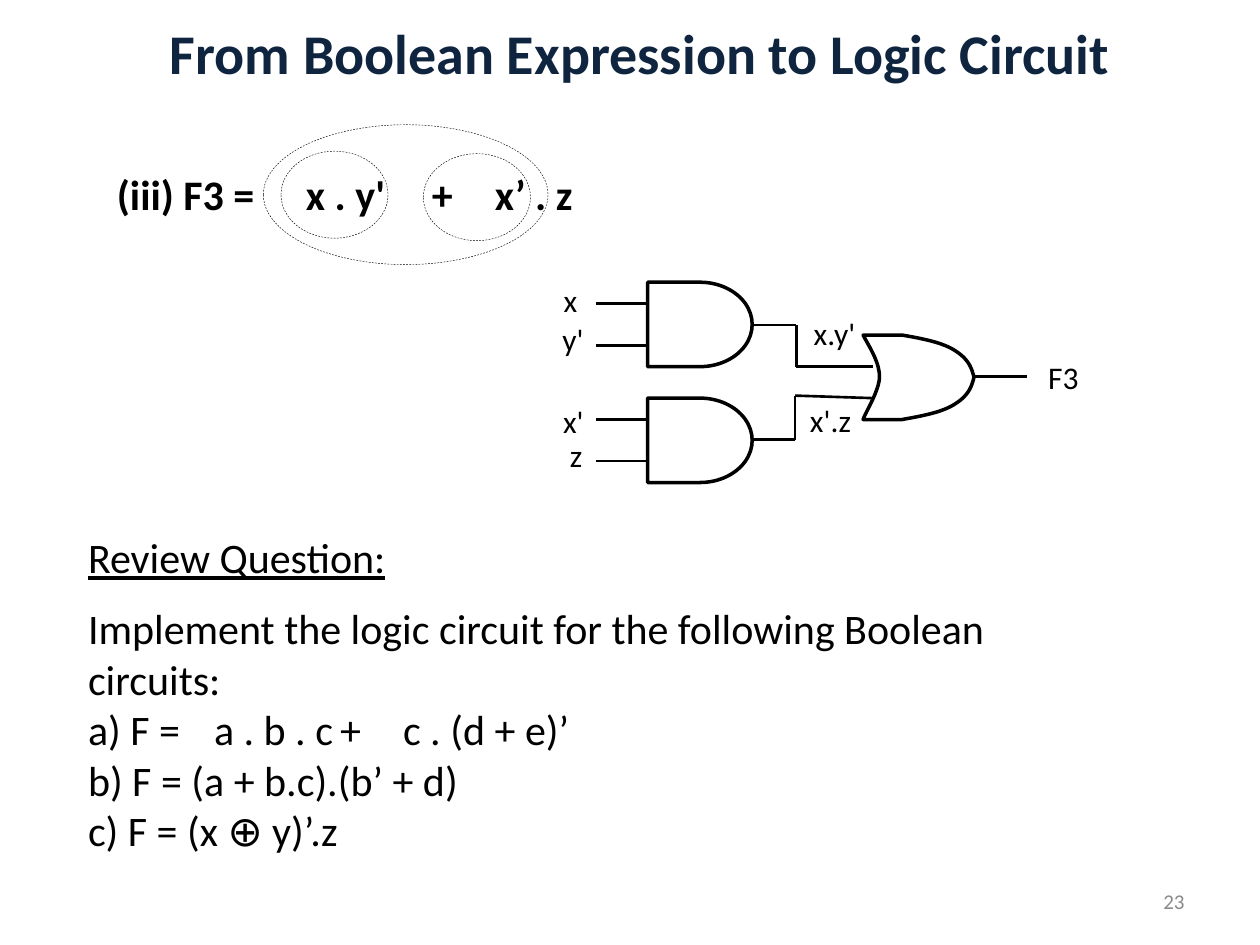
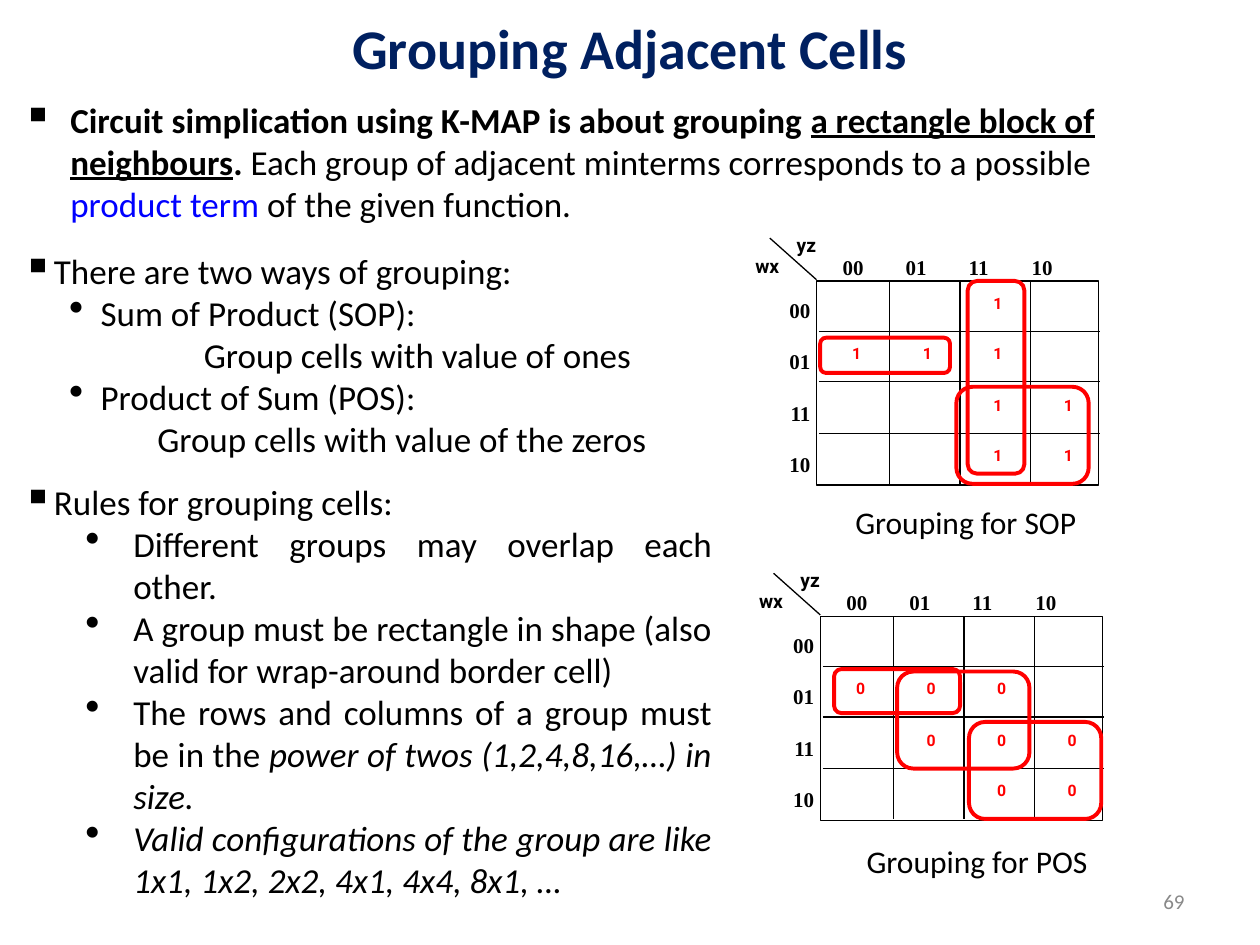
"""Build two slides on logic circuits and Karnaugh map grouping."""
import dataclasses
import lxml.etree
import pptx
import pptx.dml.color
import pptx.enum.dml
import pptx.enum.shapes
import pptx.enum.text
import pptx.oxml.ns
import pptx.util

PX = 9144
KIND = pptx.enum.shapes.MSO_SHAPE
SIDES = {
    "l": pptx.enum.text.PP_ALIGN.LEFT,
    "c": pptx.enum.text.PP_ALIGN.CENTER,
    "r": pptx.enum.text.PP_ALIGN.RIGHT,
    "j": pptx.enum.text.PP_ALIGN.JUSTIFY,
}


@dataclasses.dataclass(frozen=True)
class Theme:
    """Colours, fonts, type sizes and line widths."""
    ink: str = "000000"
    red: str = "FF0000"
    blue: str = "0000FF"
    slate: str = "0F243E"
    navy: str = "002060"
    grey: str = "898989"
    body: str = "Calibri"
    digit: str = "Roboto"
    axis: str = "Times New Roman"
    title: int = 32
    large: int = 24
    text: int = 20
    label: int = 18
    small: int = 12
    corner: int = 11
    cell: int = 9
    hair: float = 0.25
    thin: float = 0.75
    wire: float = 1.5
    gate: float = 2
    group: float = 2.25


@dataclasses.dataclass
class Para:
    """One paragraph: runs are (text, flags, colour), lengths are px."""
    runs: list
    left: int = 0
    hang: int = 0
    mark: str = ""
    gap: int = 0
    tabs: tuple = ()


def bezier(start, one, two, end, steps=16):
    """Return points along a cubic curve, without its start."""
    points = []
    for step in range(1, steps + 1):
        t = step / steps
        u = 1 - t
        points.append(tuple(
            u ** 3 * a + 3 * u * u * t * b + 3 * u * t * t * c + t ** 3 * d
            for a, b, c, d in zip(start, one, two, end)))
    return points


def child(parent, tag, **attrs):
    """Append a drawing element with attributes."""
    return lxml.etree.SubElement(parent, pptx.oxml.ns.qn(tag), attrs)


class Deck:
    """Hold the style and the current slide."""

    def __init__(self, theme):
        """Start an empty deck."""
        self.theme = theme
        self.file = pptx.Presentation()
        self.file.slide_width = 1000 * PX
        self.file.slide_height = 750 * PX

    def page(self, title, box, color, number):
        """Add a slide with its title and page number."""
        self.slide = self.file.slides.add_slide(self.file.slide_layouts[6])
        self.text(box, [Para([(title, "b")])], self.theme.title,
                  color=color, side="c", middle=True)
        self.text((717, 695, 233, 40), [number], self.theme.small,
                  color=self.theme.grey, side="r", middle=True)

    def text(self, box, paras, size, color=None, font=None, side="l", middle=False):
        """Add a text box of paragraphs or plain strings."""
        frame = self.slide.shapes.add_textbox(*[n * PX for n in box]).text_frame
        frame.word_wrap = True
        if middle:
            frame.vertical_anchor = pptx.enum.text.MSO_ANCHOR.MIDDLE
        for index, item in enumerate(paras):
            para = Para([(item,)]) if isinstance(item, str) else item
            line = frame.paragraphs[0] if index == 0 else frame.add_paragraph()
            self.layout(line, para)
            line.alignment = SIDES[side]
            line.space_before = pptx.util.Pt(para.gap)
            for run in para.runs:
                self.run(line, size, color or self.theme.ink, font or self.theme.body, *run)

    def layout(self, line, para):
        """Set indents, bullet and tab stops."""
        props = line._p.get_or_add_pPr()
        props.set("marL", str(para.left * PX))
        props.set("indent", str(-para.hang * PX))
        if para.mark:
            child(props, "a:buSzPct", val="120000")
            child(props, "a:buChar", char=para.mark)
        else:
            child(props, "a:buNone")
        if para.tabs:
            stops = child(props, "a:tabLst")
            for stop in para.tabs:
                child(stops, "a:tab", pos=str(stop * PX), algn="l")

    def run(self, line, size, color, face, words, flags="", tint=None):
        """Add one run; flags are any of b, i and u."""
        run = line.add_run()
        run.text = words
        font = run.font
        font.size = pptx.util.Pt(size)
        font.name = face
        font.bold = "b" in flags
        font.italic = "i" in flags
        font.underline = "u" in flags
        font.color.rgb = pptx.dml.color.RGBColor.from_string(tint or color)

    def stroke(self, line, width, color=None):
        """Style a line."""
        line.width = pptx.util.Pt(width)
        line.color.rgb = pptx.dml.color.RGBColor.from_string(color or self.theme.ink)

    def shape(self, kind, box, width, color=None, dash=False):
        """Add a hollow preset shape."""
        shape = self.slide.shapes.add_shape(kind, *[n * PX for n in box])
        shape.shadow.inherit = False
        shape.fill.background()
        self.stroke(shape.line, width, color)
        if dash:
            shape.line.dash_style = pptx.enum.dml.MSO_LINE.DASH

    def wire(self, points, width):
        """Join points with straight connectors."""
        for start, end in zip(points, points[1:]):
            ends = [n * PX for n in (*start, *end)]
            link = self.slide.shapes.add_connector(
                pptx.enum.shapes.MSO_CONNECTOR.STRAIGHT, *ends)
            self.stroke(link.line, width)
            child(link._element.spPr, "a:effectLst")

    def outline(self, points, width):
        """Add a hollow closed outline."""
        spots = [(x * PX, y * PX) for x, y in points]
        form = self.slide.shapes.build_freeform(*spots[0])
        form.add_line_segments(spots[1:], close=True)
        shape = form.convert_to_shape()
        shape.shadow.inherit = False
        shape.fill.background()
        self.stroke(shape.line, width)

    def gate(self):
        """Add the OR gate."""
        lower = bezier((716, 333), (733, 330), (749, 327), (759, 320))
        lower += bezier((759, 320), (768, 314), (771, 308), (773, 299.5))
        upper = [(x, 599 - y) for x, y in reversed(lower[:-1])]
        back = bezier((685, 266), (691, 277), (698, 288), (698, 299))
        back += bezier((698, 299), (698, 310), (687, 327), (685, 333))
        self.outline([(685, 266), *back, (716, 333), *lower, *upper, (716, 266)],
                     self.theme.gate)

    def map(self, x, y, rows, groups, caption, spot):
        """Add a Karnaugh map with its groups and caption."""
        theme = self.theme
        self.shape(KIND.RECTANGLE, (x, y, 224, 162), theme.thin)
        for step in range(3):
            down, across = y + 40 + 81 * step // 2, x + 58 + 56 * step
            self.wire([(x + 2, down), (x + 225, down)], theme.thin)
            self.wire([(across, y), (across, y + 161)], theme.thin)
        self.wire([(x, y - 1), (x - 37, y - 34)], theme.thin)
        codes = ["00", "01", "11", "10"]
        labels = [Para([(code, "b")], gap=15 if n else 0) for n, code in enumerate(codes)]
        self.text((x - 36, y + 8, 41, 167), labels, theme.small,
                  font=theme.axis, side="r")
        self.text((x + 11, y - 26, 246, 34),
                  [Para([("\t".join(codes), "b")], tabs=(58, 125, 174))],
                  theme.small, font=theme.axis)
        for name, left, top in (("wx", x - 63, y - 26), ("yz", x - 32, y - 43)):
            self.text((left, top, 48, 28), [Para([(name, "b")])], theme.corner,
                      font=theme.digit, side="c")
        for r, row in enumerate(rows):
            for c, value in enumerate(row):
                if value != ".":
                    box = (x + 4 + 56 * c, y + 5 + 81 * r // 2, 56, 32)
                    self.text(box, [Para([(value, "b")])], theme.cell,
                              color=theme.red, font=theme.digit, side="c")
        for box in groups:
            self.shape(KIND.FLOWCHART_ALTERNATE_PROCESS, box, theme.group, theme.red)
        self.text((*spot, 220, 40), [caption], theme.label)


def circuit(deck):
    """Build the logic circuit slide."""
    theme = deck.theme
    deck.page("From Boolean Expression to Logic Circuit", (83, 0, 850, 83), theme.slate, "23")
    deck.text((83, 129, 397, 57),
              [Para([("(iii) F3 =\tx . y'\t+\tx’ . z", "b")], tabs=(139, 224, 263))],
              theme.large)
    for box in ((336, 122, 85, 69), (223, 120, 85, 69), (209, 99, 226, 111)):
        deck.shape(KIND.OVAL, box, theme.hair, dash=True)
    for top in (224, 316):
        deck.shape(KIND.FLOWCHART_DELAY, (514, top, 83, 67), theme.gate)
        for pin in (top + 17, top + 50):
            deck.wire([(473, pin), (514, pin)], theme.wire)
    deck.gate()
    for path in (
        [(598, 258), (632, 258), (632, 291), (693, 291)],
        [(598, 349), (631, 349), (631, 314), (693, 316)],
        [(774, 299), (815, 299)],
    ):
        deck.wire(path, theme.wire)
    for name, left, top, side in (
        ("x", 426, 218, "r"), ("y'", 431, 249, "r"),
        ("x'", 431, 314, "r"), ("z", 430, 341, "r"),
        ("x.y'", 636, 244, "l"), ("x'.z", 633, 313, "l"), ("F3", 822, 279, "l"),
    ):
        deck.text((left, top, 42 if side == "r" else 62, 40), [name], theme.label, side=side)
    deck.text((60, 417, 825, 57), [
        Para([("Review Question:", "u")]),
        Para([("Implement the logic circuit for the following Boolean circuits:",)], gap=12),
        Para([("a) F =\ta . b . c\t+\tc . (d + e)’",)], tabs=(103, 220, 259)),
        "b) F = (a + b.c).(b’ + d)",
        "c) F = (x ⊕ y)’.z",
    ], theme.large)


def grouping(deck):
    """Build the Karnaugh map slide."""
    theme = deck.theme
    deck.page("Grouping Adjacent Cells", (0, 0, 1000, 75), theme.navy, "69")
    deck.text((8, 73, 920, 110), [Para([
        ("Circuit simplication using K-MAP is about grouping ", "b"),
        ("a rectangle block of neighbours", "bu"),
        (". ", "b"),
        ("Each group of adjacent minterms corresponds to a possible ",),
        ("product term", "", theme.blue),
        (" of the given function.",),
    ], left=38, hang=38, mark="▪")], theme.text)

    def head(words, gap=0):
        return Para([(words,)], 25, 25, "▪", gap)

    def way(words):
        return Para([(words,)], 62, 25, "•")

    def rule(*runs):
        return Para(list(runs), 88, 38, "•")

    deck.text((8, 193, 567, 532), [
        head("There are two ways of grouping:"),
        way("Sum of Product (SOP):"),
        Para([("Group cells with value of ones",)], left=144),
        way("Product of Sum (POS):"),
        Para([("Group cells with value of the zeros",)], left=107),
        head("Rules for grouping cells:", 12),
        rule(("Different groups may overlap each other.",)),
        rule(("A group must be rectangle in shape (also valid for wrap-around border cell)",)),
        rule(("The rows and columns of a group must be in the ",),
             ("power of twos (1,2,4,8,16,…) in size.", "i")),
        rule(("Valid configurations of the group are like 1x1, 1x2, 2x2, 4x1, 4x4, 8x1, …", "i")),
    ], theme.text, side="j")
    deck.map(648, 223, ("..1.", "111.", "..11", "..11"),
             ((759, 307, 105, 77), (651, 268, 103, 28), (768, 223, 45, 153)),
             "Grouping for SOP", (669, 394))
    deck.map(651, 489, ("....", "000.", ".000", "..00"),
             ((769, 573, 105, 77), (712, 533, 105, 77), (662, 531, 100, 35)),
             "Grouping for POS", (678, 663))


def main():
    """Build and save the deck."""
    deck = Deck(Theme())
    circuit(deck)
    grouping(deck)
    deck.file.save("out.pptx")


if __name__ == "__main__":
    main()
